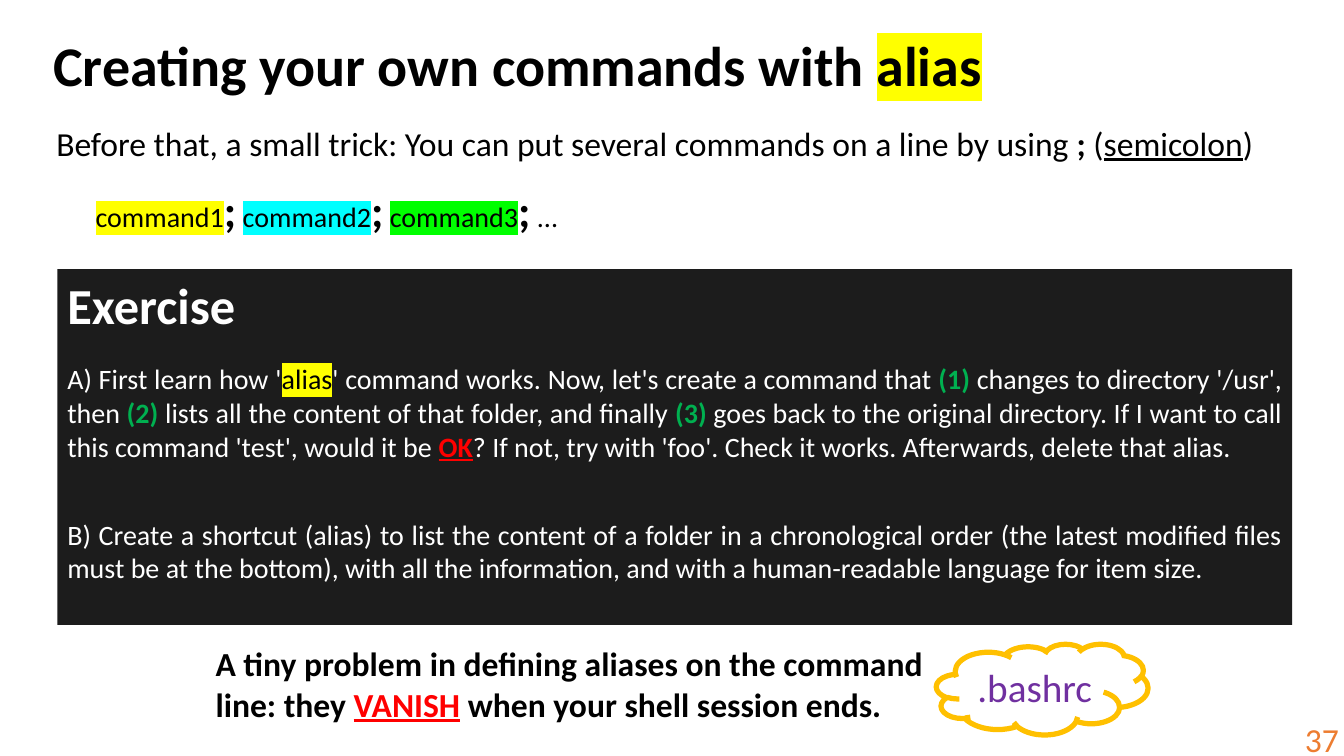
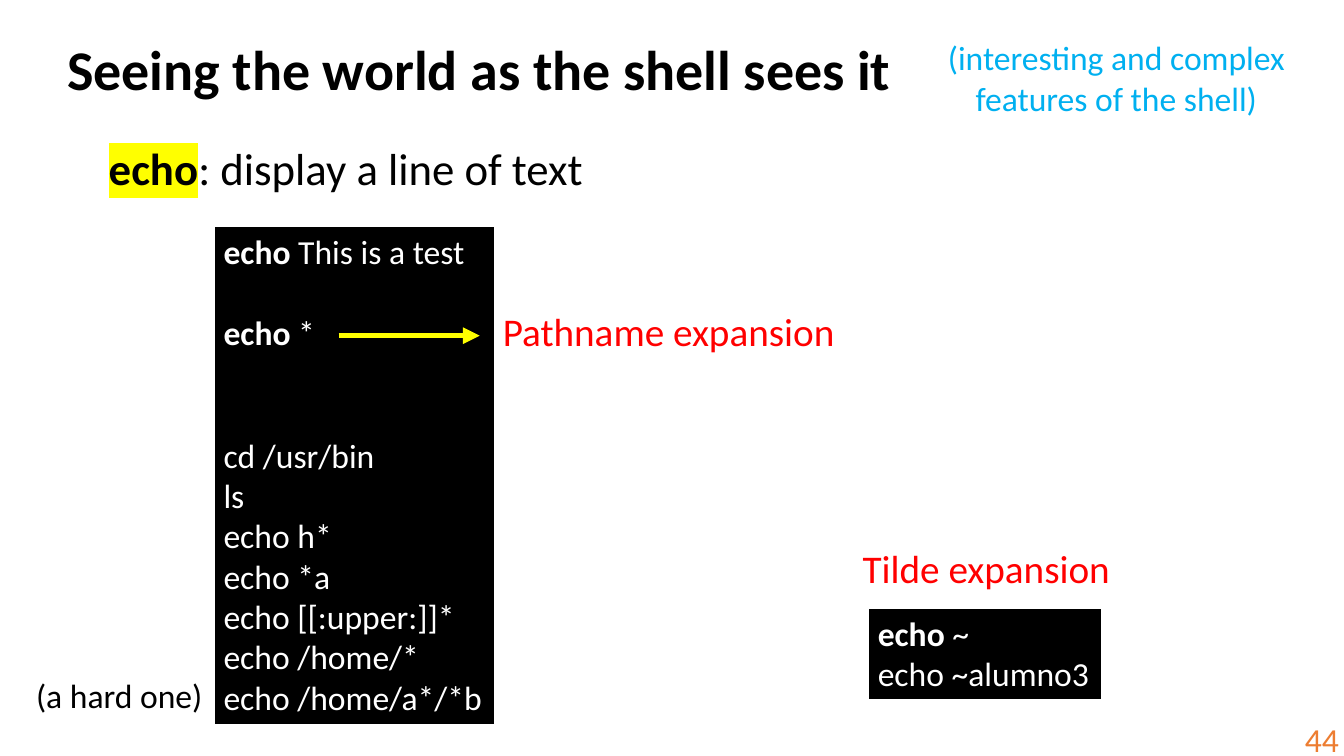
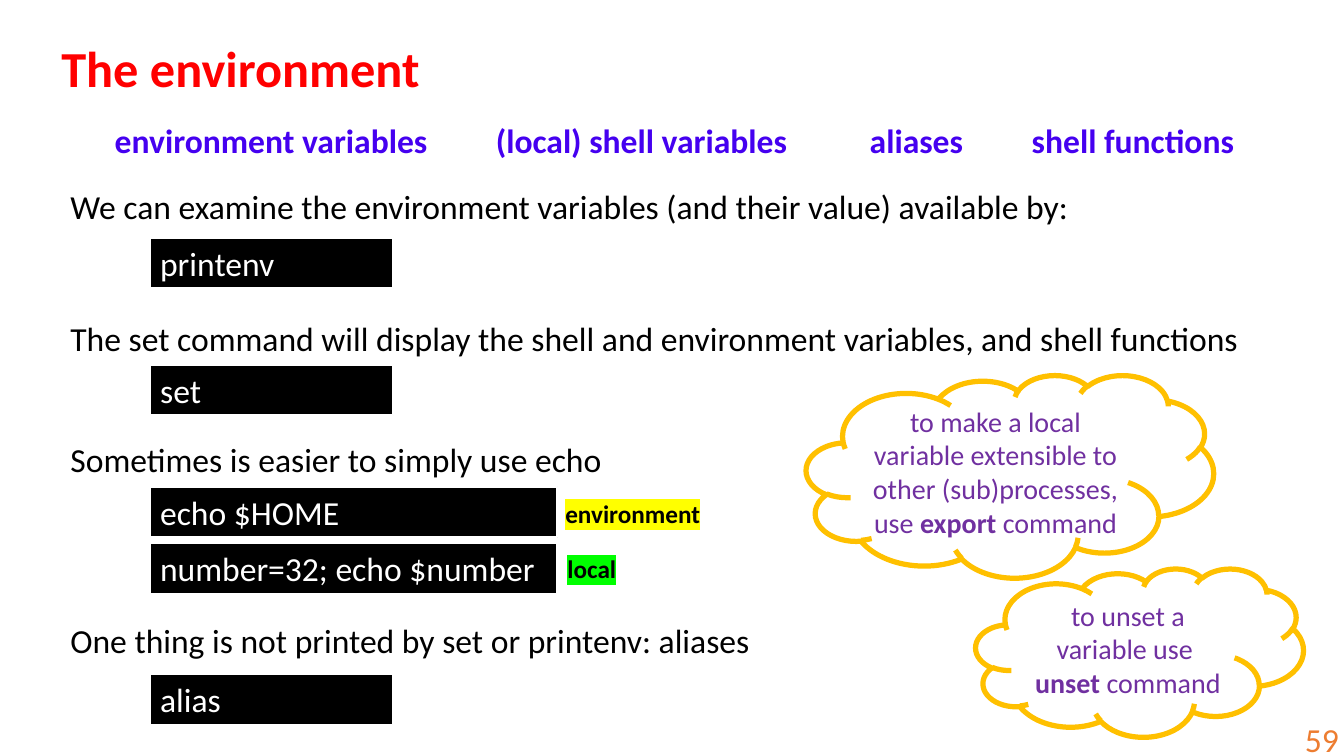
import pptx
import pptx.dml.color
import pptx.enum.shapes
import pptx.enum.text
import pptx.oxml.ns
import pptx.util
from lxml import etree

Pt = pptx.util.Pt
RGBColor = pptx.dml.color.RGBColor
SHAPE = pptx.enum.shapes.MSO_SHAPE
ALIGN = pptx.enum.text.PP_ALIGN
ANCHOR = pptx.enum.text.MSO_ANCHOR
qn = pptx.oxml.ns.qn

FONT = "Calibri"
BLACK = RGBColor(0x00, 0x00, 0x00)
WHITE = RGBColor(0xFF, 0xFF, 0xFF)
CHARCOAL = RGBColor(0x1C, 0x1C, 0x1C)
RED = RGBColor(0xFF, 0x00, 0x00)
YELLOW = RGBColor(0xFF, 0xFF, 0x00)
CYAN = RGBColor(0x00, 0xFF, 0xFF)
LIME = RGBColor(0x00, 0xFF, 0x00)
GREEN = RGBColor(0x00, 0xB0, 0x50)
SKY = RGBColor(0x00, 0xB0, 0xF0)
INDIGO = RGBColor(0x45, 0x00, 0xF0)
PURPLE = RGBColor(0x70, 0x30, 0xA0)
GOLD = RGBColor(0xFF, 0xC0, 0x00)
ORANGE = RGBColor(0xED, 0x7D, 0x31)

BOLD = {"bold": True}
STEP = {"bold": True, "color": GREEN}
ALERT = {"bold": True, "color": RED, "underline": True}
SEPARATOR = {"bold": True, "size": 32}


def highlight(r, color):
    mark = etree.Element(qn("a:highlight"))
    etree.SubElement(mark, qn("a:srgbClr"), val=str(color))
    r._r.get_or_add_rPr().find(qn("a:solidFill")).addnext(mark)


def format_run(r, size, color, bold=False, underline=False, mark=None):
    r.font.name = FONT
    r.font.size = Pt(size)
    r.font.bold = bold
    r.font.underline = underline
    r.font.color.rgb = color
    if mark is not None:
        highlight(r, mark)


def write(tf, paragraphs, align=ALIGN.LEFT, gaps=None, **style):
    if isinstance(paragraphs, str):
        paragraphs = [paragraphs]
    for i, pieces in enumerate(paragraphs):
        p = tf.add_paragraph() if i else tf.paragraphs[0]
        p.alignment = align
        if gaps and i in gaps:
            p.space_before = Pt(gaps[i])
        for piece in [pieces] if isinstance(pieces, str) else pieces:
            text, change = (piece, {}) if isinstance(piece, str) else piece
            r = p.add_run()
            r.text = text
            format_run(r, **{**style, **change})


def add_text(s, box, paragraphs, size=24, color=BLACK, wrap=False,
             anchor=ANCHOR.TOP, **style):
    tf = s.shapes.add_textbox(*map(Pt, box)).text_frame
    tf.word_wrap = wrap
    tf.vertical_anchor = anchor
    write(tf, paragraphs, size=size, color=color, **style)
    return tf


def add_panel(s, box, paragraphs, fill=BLACK, line=WHITE, size=24, **style):
    sp = s.shapes.add_shape(SHAPE.RECTANGLE, *map(Pt, box))
    sp.shadow.inherit = False
    sp.fill.solid()
    sp.fill.fore_color.rgb = fill
    if line is None:
        sp.line.fill.background()
    else:
        sp.line.color.rgb = line
        sp.line.width = Pt(1.5)
    sp.text_frame.word_wrap = True
    sp.text_frame.vertical_anchor = ANCHOR.TOP
    write(sp.text_frame, paragraphs, size=size, color=WHITE, **style)
    return sp


def add_cloud(s, box, paragraphs, size=20):
    sp = s.shapes.add_shape(SHAPE.CLOUD, *map(Pt, box))
    sp.shadow.inherit = False
    sp.fill.background()
    sp.line.color.rgb = GOLD
    sp.line.width = Pt(3.75)
    sp.text_frame.word_wrap = True
    sp.text_frame.vertical_anchor = ANCHOR.MIDDLE
    write(sp.text_frame, paragraphs, ALIGN.CENTER, size=size, color=PURPLE)


def add_arrow(s, x1, y1, x2, y2):
    c = s.shapes.add_connector(pptx.enum.shapes.MSO_CONNECTOR.STRAIGHT,
                               Pt(x1), Pt(y1), Pt(x2), Pt(y2))
    c.line.color.rgb = YELLOW
    c.line.width = Pt(4)
    etree.SubElement(c.line._get_or_add_ln(), qn("a:tailEnd"), type="triangle")
    etree.SubElement(c._element.spPr, qn("a:effectLst"))


def add_tabs(p, stops):
    tabs = etree.SubElement(p._p.get_or_add_pPr(), qn("a:tabLst"))
    for stop in stops:
        etree.SubElement(tabs, qn("a:tab"), pos=str(Pt(stop)), algn="l")


def add_slide(prs, number, title, title_box, size=40, color=BLACK):
    s = prs.slides.add_slide(prs.slide_layouts[6])
    add_text(s, title_box, [title], size, color, bold=True)
    add_text(s, (747.4, 513.4, 216, 28.8), str(number), color=ORANGE, wrap=True,
             anchor=ANCHOR.MIDDLE, align=ALIGN.RIGHT)
    return s


def alias_slide(prs):
    title = ["Creating your own commands with ", ("alias", {"mark": YELLOW})]
    s = add_slide(prs, 37, title, (31, 18, 685.4, 55.4))
    add_text(s, (33.1, 84.2, 870.5, 36), [[
        "Before that, a small trick: You can put several commands on a line by using ",
        (";", BOLD), " (", ("semicolon", {"underline": True}), ")"]])
    commands = []
    for i, mark in enumerate((YELLOW, CYAN, LIME), 1):
        commands += [(f"command{i}", {"mark": mark}), (";", SEPARATOR), " "]
    add_text(s, (61.2, 126.7, 344.9, 46), [commands[:-1] + [" ..."]], size=20)
    exercise = [
        [("Exercise", {"bold": True, "size": 36})],
        ["A) First learn how '", ("alias", {"color": BLACK, "mark": YELLOW}),
         "' command works. Now, let's create a command that ", ("(1) ", STEP),
         "changes to directory '/usr', then", (" (2) ", STEP),
         "lists all the content of that folder, and finally ", ("(3) ", STEP),
         "goes back to the original directory. If I want to call this command "
         "'test', would it be ", ("OK", ALERT),
         "? If not, try with 'foo'. Check it works. Afterwards, delete that alias."],
        "B) Create a shortcut (alias) to list the content of a folder in a "
        "chronological order (the latest modified files must be at the bottom), "
        "with all the information, and with a human-readable language for item size.",
    ]
    sp = add_panel(s, (41, 192.2, 882, 254.2), exercise, CHARCOAL, None, 20,
                   align=ALIGN.JUSTIFY, gaps={1: 19.5, 2: 39})
    sp.text_frame.paragraphs[0].alignment = ALIGN.LEFT
    add_text(s, (146.9, 455.8, 529.2, 65.5), [[
        "A tiny problem in defining aliases on the command line: they ",
        ("VANISH", ALERT), " when your shell session ends."]], wrap=True, bold=True)
    add_cloud(s, (668.9, 460, 151.2, 64.8), ".bashrc", 28)


def shell_slide(prs):
    s = add_slide(prs, 44, "Seeing the world as the shell sees it",
                  (41, 20.9, 609, 55.4))
    add_text(s, (70.6, 97.2, 364.3, 46), [[
        ("echo", {"bold": True, "mark": YELLOW}), ": display a line of text"]], 32)
    session = [[("echo", BOLD), " This is a test"], [("echo ", BOLD), "*"],
               "cd /usr/bin", "ls", "echo h*", "echo *a", "echo [[:upper:]]*",
               "echo /home/*", "echo /home/a*/*b"]
    home = [[("echo", BOLD), " ~"], "echo ~alumno3"]
    for box, lines, gaps in (((152.6, 161.3, 200.9, 356.4), session, {1: 29.3, 2: 58.6}),
                             ((619.9, 434.2, 167, 65.5), home, None)):
        add_panel(s, box, lines, gaps=gaps).text_frame.word_wrap = False
    add_text(s, (352.1, 216, 254.2, 41), "Pathname expansion", 28, RED)
    add_text(s, (609.1, 385.2, 193, 41), "Tilde expansion", 28, RED)
    add_arrow(s, 241.9, 239.8, 342.7, 239.8)
    add_text(s, (18.7, 478.8, 139.7, 36), "(a hard one)")
    add_text(s, (662.4, 23, 270, 65.5),
             "(interesting and complex features of the shell)",
             color=SKY, wrap=True, align=ALIGN.CENTER)


def environment_slide(prs):
    s = add_slide(prs, 59, "The environment", (36.7, 23, 273.6, 51.1), 36, RED)
    tf = add_text(s, (74.9, 82.1, 832.3, 36),
                  "environment variables\t(local) shell variables\taliases\tshell functions",
                  color=INDIGO, wrap=True, bold=True)
    add_tabs(tf.paragraphs[0], (272.2, 539.3, 655))
    for y, sentence in (
            (129.6, "We can examine the environment variables (and their value) available by:"),
            (223.2, "The set command will display the shell and environment variables, "
                    "and shell functions"),
            (310.3, "Sometimes is easier to simply use echo"),
            (439.2, "One thing is not printed by set or printenv: aliases")):
        add_text(s, (43.2, y, 876.2, 36), sentence, wrap=True)
    for y, width, code in ((169.9, 173.5, "printenv"), (260.6, 173.5, "set"),
                           (347.8, 290.9, "echo $HOME"),
                           (388.1, 290.9, "number=32; echo $number"),
                           (481.7, 173.5, "alias")):
        add_panel(s, (107.3, y, width, 36), code)
    for box, scope, mark in (((396.7, 352.1, 111.6, 28.8), "environment", YELLOW),
                             ((398.2, 391.7, 49.7, 28.8), "local", LIME)):
        add_text(s, box, scope, 18, bold=True, mark=mark)
    add_cloud(s, (576, 267.8, 290.9, 144.7), [[
        "to make a local variable extensible to other (sub)processes, use ",
        ("export ", BOLD), "command"]])
    add_cloud(s, (697, 406.1, 234, 120.2), [
        "to unset a variable use ", [("unset ", BOLD), "command"]])


def main():
    prs = pptx.Presentation()
    prs.slide_width = Pt(960)
    prs.slide_height = Pt(540)
    alias_slide(prs)
    shell_slide(prs)
    environment_slide(prs)
    prs.save("out.pptx")


if __name__ == "__main__":
    main()
